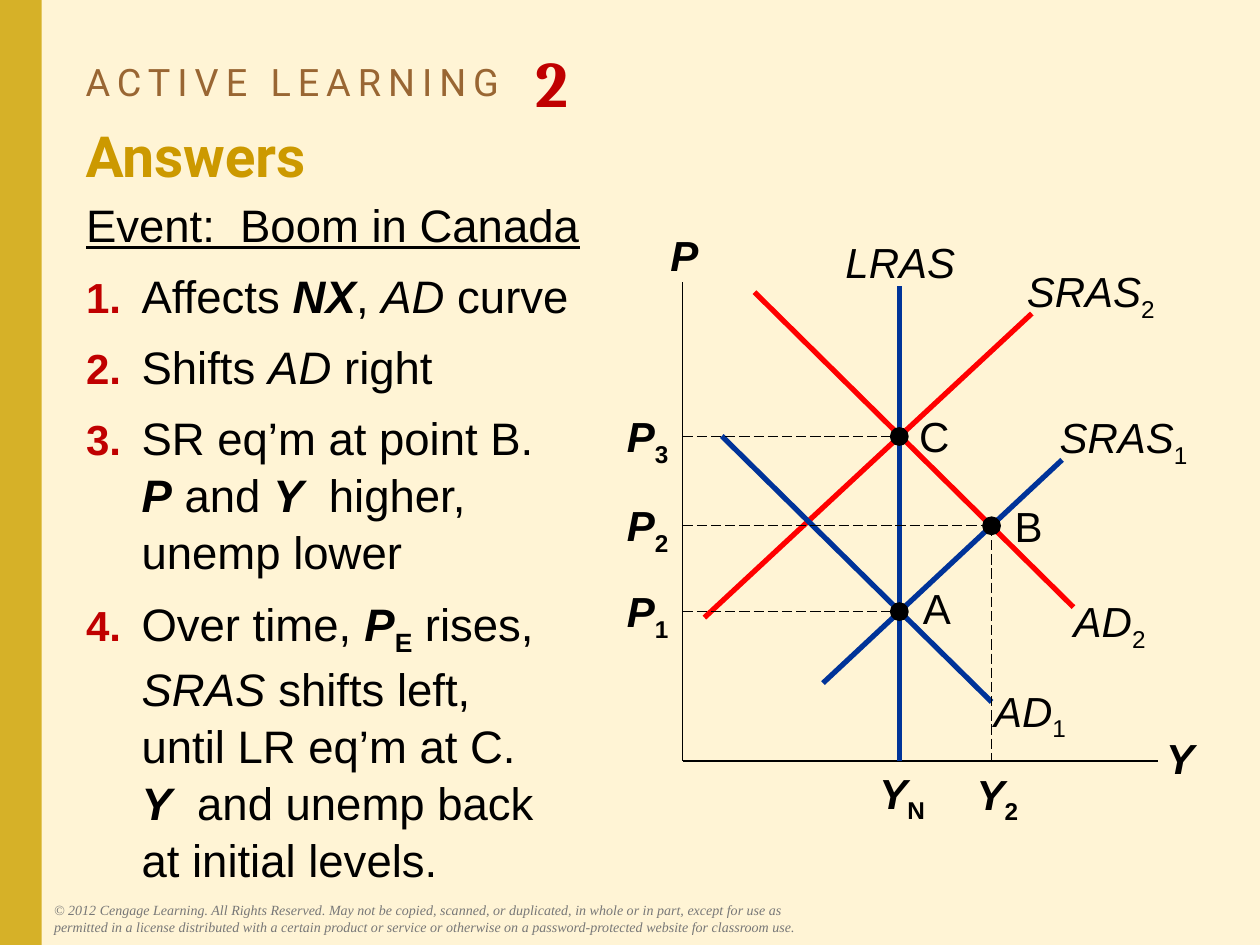
import copy

import lxml.etree
import pptx
import pptx.dml.color
import pptx.enum.dml
import pptx.enum.shapes
import pptx.enum.text
import pptx.oxml.ns
import pptx.util

Cm, Pt = pptx.util.Cm, pptx.util.Pt
ALIGN = pptx.enum.text.PP_ALIGN
ANCHOR = pptx.enum.text.MSO_ANCHOR
SHAPE = pptx.enum.shapes.MSO_SHAPE
qn = pptx.oxml.ns.qn

COLORS = {
    "background": "FFF4D5", "bar": "D6B128", "kicker": "996633",
    "number": "C00000", "title": "CC9900", "text": "000000",
    "before": "003399", "after": "FF0000", "copyright": "777777",
}


def rgb(name):
    return pptx.dml.color.RGBColor.from_string(COLORS[name])


class DiagramSlide:
    """Holds the style and the slide being filled; lengths are centimetres."""

    font = "Arial"
    label_size = 24
    body_size = 26

    def __init__(self, presentation):
        self.slide = presentation.slides.add_slide(presentation.slide_layouts[1])
        fill = self.slide.background.fill
        fill.solid()
        fill.fore_color.rgb = rgb("background")

    def run(self, paragraph, text, marks="", size=None, color="text",
            font=None, spacing=None, baseline=None):
        """Add text; marks are b(old), i(talic), u(nderline), s(ubscript)."""
        for index, line in enumerate(text.split("\n")):
            if index:
                paragraph.add_line_break()
                paragraph._p[-1].append(copy.deepcopy(properties))
                if not line:
                    continue
            run = paragraph.add_run()
            run.text = line
            run.font.size = Pt(size or self.label_size)
            run.font.name = font or self.font
            run.font.bold = "b" in marks
            run.font.italic = "i" in marks
            run.font.underline = "u" in marks
            run.font.color.rgb = rgb(color)
            properties = run._r.get_or_add_rPr()
            if "s" in marks:
                baseline = -25
            if baseline:
                properties.set("baseline", str(baseline * 1000))
            if spacing:
                properties.set("spc", str(spacing * 100))

    def place(self, holder, left, top, width, height, anchor):
        holder.left, holder.top = Cm(left), Cm(top)
        holder.width, holder.height = Cm(width), Cm(height)
        frame = holder.text_frame
        frame.auto_size = pptx.enum.text.MSO_AUTO_SIZE.NONE
        frame.vertical_anchor = anchor
        frame.word_wrap = True
        return frame

    def title(self, kicker, number, heading):
        frame = self.place(self.slide.shapes.title, 1.47, 0.43, 22.81, 2.64, ANCHOR.MIDDLE)
        paragraph = frame.paragraphs[0]
        paragraph.alignment = ALIGN.LEFT
        style = {"size": 21.6, "color": "kicker", "font": "Roboto"}
        self.run(paragraph, kicker, spacing=4, **style)
        self.run(paragraph, " ", spacing=11, **style)
        self.run(paragraph, number, "b", 63.9, "number", "Cambria", baseline=-10)
        self.run(paragraph, "\n", **style)
        self.run(paragraph, heading, "b", 32.4, "title", "Roboto")

    def body(self, event, steps):
        frame = self.place(self.slide.placeholders[1], 1.48, 3.79, 11.68, 14.48, ANCHOR.TOP)
        for number, parts in enumerate([[(event, "u")], *steps]):
            paragraph = frame.add_paragraph() if number else frame.paragraphs[0]
            properties = paragraph._p.get_or_add_pPr()
            properties.set("marL", str(Cm(1.12)))
            properties.set("indent", str(-Cm(1.12)))
            lxml.etree.SubElement(properties, qn("a:buNone"))
            paragraph.line_spacing = 1.05
            paragraph.space_before = Pt(7.8 if number else 0)
            if number:
                self.run(paragraph, f"{number}. \t", "b", color="number")
            for text, marks in parts:
                self.run(paragraph, text, marks, self.body_size)

    def text(self, parts, left, top, width, height=1.27, inset=True,
             align=ALIGN.CENTER, **style):
        box = self.slide.shapes.add_textbox(Cm(left), Cm(top), Cm(width), Cm(height))
        frame = box.text_frame
        frame.word_wrap = True
        if not inset:
            frame.margin_left = frame.margin_right = 0
            frame.margin_top = frame.margin_bottom = 0
        paragraph = frame.paragraphs[0]
        paragraph.alignment = align
        for text, marks in parts:
            self.run(paragraph, text, marks, **style)

    def shape(self, kind, left, top, width, height, color):
        shape = self.slide.shapes.add_shape(kind, Cm(left), Cm(top), Cm(width), Cm(height))
        shape.shadow.inherit = False
        shape.fill.solid()
        shape.fill.fore_color.rgb = rgb(color)
        shape.line.fill.background()

    def dot(self, x, y, size=0.38):
        self.shape(SHAPE.OVAL, x - size / 2, y - size / 2, size, size, "text")

    def line(self, x1, y1, x2, y2, color="text", width=1.0, dashed=False):
        line = self.slide.shapes.add_connector(
            pptx.enum.shapes.MSO_CONNECTOR.STRAIGHT, Cm(x1), Cm(y1), Cm(x2), Cm(y2))
        line.line.color.rgb = rgb(color)
        line.line.width = Pt(width)
        if dashed:
            line.line.dash_style = pptx.enum.dml.MSO_LINE.LONG_DASH
        lxml.etree.SubElement(line._element.spPr, qn("a:effectLst"))


STEPS = [
    [("Affects ", ""), ("NX", "bi"), (", ", ""), ("AD", "i"), (" curve", "")],
    [("Shifts ", ""), ("AD", "i"), (" right", "")],
    [("SR eq’m at point B. \n", ""), ("P", "bi"), (" and ", ""), ("Y", "bi"),
     ("  higher,\nunemp lower", "")],
    [("Over time, ", ""), ("P", "bi"), ("E", "bs"), (" rises, \n", ""),
     ("SRAS", "i"), (" shifts left,\nuntil LR eq’m at C.\n", ""), ("Y", "bi"),
     ("  and unemp back \nat initial levels.", "")],
]
COPYRIGHT = (
    "© 2012 Cengage Learning. All Rights Reserved. May not be copied, scanned, or "
    "duplicated, in whole or in part, except for use as permitted in a license "
    "distributed with a certain product or service or otherwise on a "
    "password-protected website for classroom use.")

ORIGIN_X, ORIGIN_Y = 13.76, 15.34
NATURAL_OUTPUT, HIGHER_OUTPUT = 18.13, 19.99
# name, subscript, colour, line ends, label left, top and width
CURVES = [
    ("LRAS", "", "before", (NATURAL_OUTPUT, 5.77, NATURAL_OUTPUT, ORIGIN_Y), (16.51, 4.65, 3.28)),
    ("AD", "2", "after", (15.21, 5.89, 21.64, 12.24), (21.34, 11.89, 2.06)),
    ("SRAS", "2", "after", (14.2, 12.45, 20.8, 6.32), (20.35, 5.23, 3.28)),
    ("AD", "1", "before", (14.55, 8.79, HIGHER_OUTPUT, 14.15), (19.76, 13.69, 2.01)),
    ("SRAS", "1", "before", (16.59, 13.77, 21.41, 9.27), (21.01, 8.18, 3.28)),
]
# point, price subscript, x, y, label left and top
EQUILIBRIA = [
    ("A", "1", NATURAL_OUTPUT, 12.33, 18.44, 11.74),
    ("B", "2", HIGHER_OUTPUT, 10.6, 20.29, 10.09),
    ("C", "3", NATURAL_OUTPUT, 8.8, 18.39, 8.28),
]


def main():
    presentation = pptx.Presentation()
    presentation.slide_width, presentation.slide_height = Cm(25.4), Cm(19.05)
    page = DiagramSlide(presentation)

    page.shape(SHAPE.RECTANGLE, 0, 0, 0.84, 19.05, "bar")
    page.title("ACTIVE LEARNING", "2", "Answers")
    page.body("Event:  Boom in Canada", STEPS)
    page.text([(COPYRIGHT, "i")], 0.84, 18.05, 15.7, 0.94, align=ALIGN.LEFT,
              size=8, color="copyright", font="Times New Roman")

    page.line(ORIGIN_X, 5.69, ORIGIN_X, ORIGIN_Y)
    page.line(ORIGIN_X, ORIGIN_Y, 23.34, ORIGIN_Y)
    page.text([("P", "bi")], 13.26, 4.5, 1.07)
    page.text([("Y", "bi")], 23.22, 14.64, 1.14)

    for name, subscript, color, ends, label in CURVES:
        page.line(*ends, color, 3)
        parts = [(name, "i"), (subscript, "s")] if subscript else [(name, "i")]
        page.text(parts, *label)

    page.line(HIGHER_OUTPUT, 10.6, HIGHER_OUTPUT, ORIGIN_Y, width=0.75, dashed=True)
    for point, subscript, x, y, left, top in EQUILIBRIA:
        page.line(ORIGIN_X, y, x, y, width=0.75, dashed=True)
        page.dot(x, y)
        page.text([("P", "bi"), (subscript, "bs")], 12.38, y - 0.52, 1.35, 1.02, inset=False)
        page.text([(point, "")], left, top, 0.89, 1.02, inset=False)

    page.text([("Y", "bi"), ("N", "bs")], 17.48, 15.34, 1.47, align=ALIGN.LEFT)
    page.text([("Y", "bi"), ("2", "bs")], 19.43, 15.49, 1.35, 1.02, inset=False)

    presentation.save("out.pptx")


if __name__ == "__main__":
    main()
